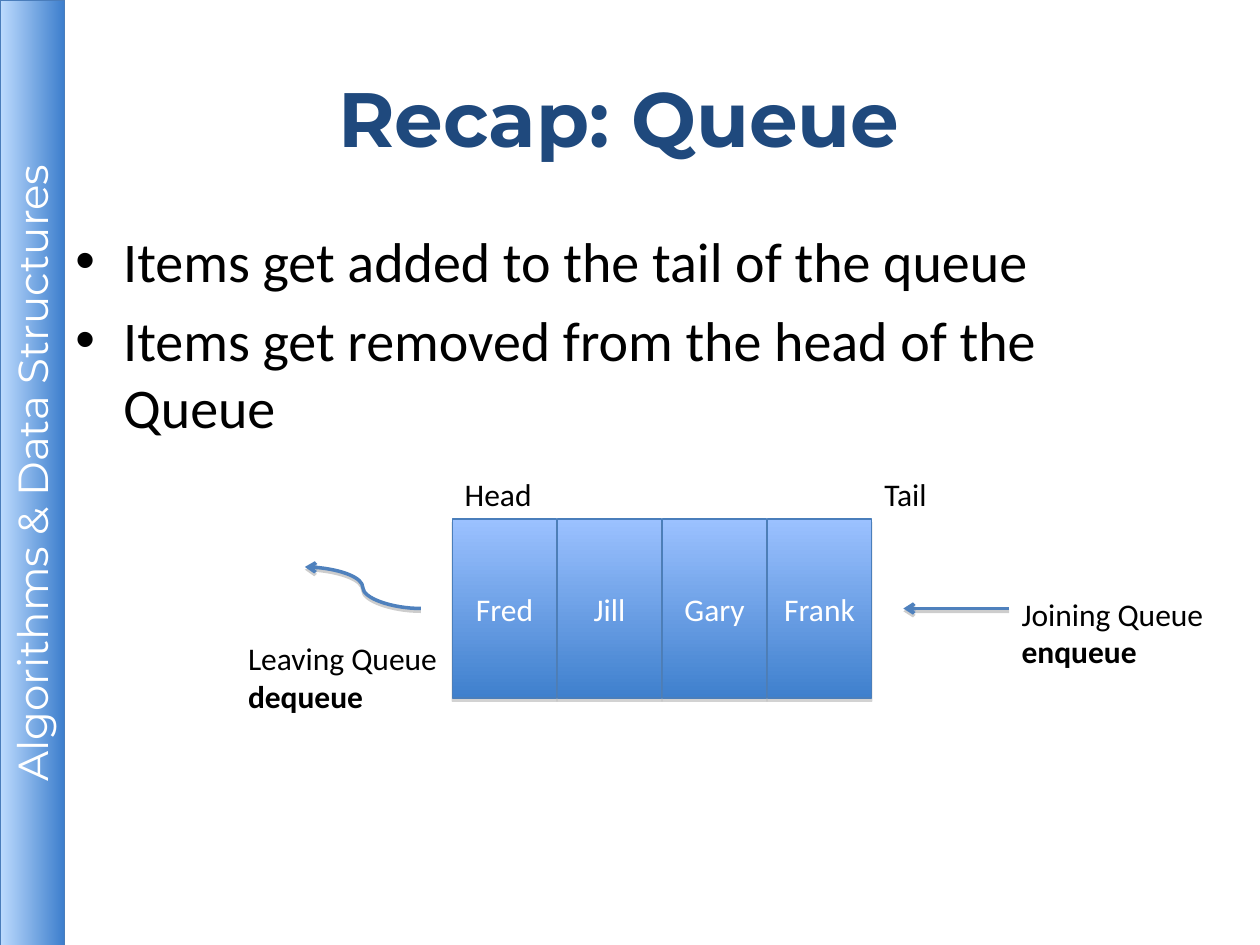
import pptx
import pptx.util
import pptx.dml.color
import pptx.enum.shapes
import pptx.enum.text
import pptx.oxml
import pptx.oxml.ns
from pptx.util import Inches

RGBColor = pptx.dml.color.RGBColor
WHITE = RGBColor(0xFF, 0xFF, 0xFF)
BLACK = RGBColor(0, 0, 0)
NAVY = RGBColor(0x1F, 0x49, 0x7D)
BAR_LIGHT = RGBColor(0xBD, 0xDB, 0xFE)
BAR_DARK = RGBColor(0x3E, 0x7F, 0xCD)
BAR_EDGE = RGBColor(0x4A, 0x7D, 0xBB)
BAR_SHADOW = RGBColor(0xEE, 0xEC, 0xE1)
CELL_LIGHT = RGBColor(0x9B, 0xC1, 0xFF)
CELL_DARK = RGBColor(0x3F, 0x80, 0xCD)
CELL_EDGE = RGBColor(0x4A, 0x7E, 0xBB)
ARROW_BLUE = RGBColor(0x4F, 0x81, 0xBD)
GREY = RGBColor(0x80, 0x80, 0x80)

RECTANGLE = pptx.enum.shapes.MSO_SHAPE.RECTANGLE
CURVE = pptx.enum.shapes.MSO_CONNECTOR.CURVE
LEFT = pptx.enum.text.PP_ALIGN.LEFT
CENTER = pptx.enum.text.PP_ALIGN.CENTER
MIDDLE = pptx.enum.text.MSO_ANCHOR.MIDDLE
TOP = pptx.enum.text.MSO_ANCHOR.TOP
NS = pptx.oxml.ns.nsdecls("a")


def write(frame, text, size=18, font="Calibri", color=BLACK, bold_lines=(),
          align=LEFT, anchor=TOP, wrap=True, bullet=False, space_before=0):
    frame.word_wrap = wrap
    frame.vertical_anchor = anchor
    for i, line in enumerate(text.split("\n")):
        paragraph = frame.paragraphs[0] if i == 0 else frame.add_paragraph()
        paragraph.alignment = align
        if i and space_before:
            paragraph.space_before = pptx.util.Pt(space_before)
        if bullet:
            properties = paragraph._p.get_or_add_pPr()
            properties.set("marL", str(Inches(0.38)))
            properties.set("indent", str(Inches(-0.38)))
            properties.append(pptx.oxml.parse_xml(f'<a:buFont {NS} typeface="Arial"/>'))
            properties.append(pptx.oxml.parse_xml(f'<a:buChar {NS} char="•"/>'))
        run = paragraph.add_run()
        run.text = line
        run.font.size = pptx.util.Pt(size)
        run.font.name = font
        run.font.color.rgb = color
        run.font.bold = i in bold_lines


def add_shadow(properties, color, opacity, distance):
    for effects in properties.findall(pptx.oxml.ns.qn("a:effectLst")):
        properties.remove(effects)
    properties.append(pptx.oxml.parse_xml(
        f'<a:effectLst {NS}><a:outerShdw blurRad="0" dist="{pptx.util.Pt(distance)}" '
        f'dir="5400000" rotWithShape="0"><a:srgbClr val="{color}">'
        f'<a:alpha val="{opacity * 1000}"/></a:srgbClr></a:outerShdw></a:effectLst>'))


presentation = pptx.Presentation()
presentation.slide_width = Inches(10)
presentation.slide_height = Inches(7.5)
slide = presentation.slides.add_slide(presentation.slide_layouts[5])
shapes = slide.shapes

# Course bar on the left edge, then the cells of the queue
bar = shapes.add_shape(RECTANGLE, Inches(-3.5), Inches(3.5), Inches(7.51), Inches(0.51))
bar.rotation = 270
blocks = [(bar, "Algorithms & Data Structures", 24, "Montserrat",
           BAR_LIGHT, BAR_DARK, BAR_EDGE, BAR_SHADOW)]
queue_left, queue_top, cell_width, cell_height = 3.59, 4.12, 0.83, 1.42
cell_step = 0.8333
for i, person in enumerate(["Fred", "Jill", "Gary", "Frank"]):
    cell = shapes.add_shape(RECTANGLE, Inches(queue_left + i * cell_step), Inches(queue_top),
                            Inches(cell_width), Inches(cell_height))
    blocks.append((cell, person, 18, "Calibri", CELL_LIGHT, CELL_DARK, CELL_EDGE, GREY))

for block, label, size, font, light, dark, edge, shade in blocks:
    block.fill.gradient()
    block.fill.gradient_angle = 270
    for stop, color, position in zip(block.fill.gradient_stops, (light, dark), (0, 1)):
        stop.color.rgb = color
        stop.position = position
    block.line.color.rgb = edge
    block.line.width = pptx.util.Pt(0.75)
    block.shadow.inherit = False
    add_shadow(block._element.spPr, shade, 35, 1.8)
    frame = block.text_frame
    if block is bar:
        frame.margin_left = frame.margin_right = Inches(0.04)
        frame.margin_top = frame.margin_bottom = Inches(0.04)
    write(frame, label, size=size, font=font, color=WHITE, align=CENTER, anchor=MIDDLE)

# Title
title = shapes.title
title.left, title.top, title.width, title.height = (
    Inches(0.5), Inches(0.3), Inches(9), Inches(1.25))
write(title.text_frame, "Recap: Queue ", size=44, font="Montserrat", color=NAVY,
      bold_lines=(0,), align=CENTER, anchor=MIDDLE)

# Rules of the queue
rules = shapes.add_textbox(Inches(0.5), Inches(1.75), Inches(9), Inches(4.95))
write(rules.text_frame,
      "Items get added to the tail of the queue\nItems get removed from the head of the Queue",
      size=32, bullet=True, space_before=6.4)

# Arrows for leaving and joining
for x1, y1, x2, y2 in [(3.34, 4.83, 2.42, 4.5), (8.01, 4.83, 7.17, 4.83)]:
    arrow = shapes.add_connector(CURVE, Inches(x1), Inches(y1), Inches(x2), Inches(y2))
    arrow.line.color.rgb = ARROW_BLUE
    arrow.line.width = pptx.util.Pt(2)
    arrow.line._get_or_add_ln().append(pptx.oxml.parse_xml(f'<a:tailEnd {NS} type="arrow"/>'))
    add_shadow(arrow._element.spPr, GREY, 38, 1.6)

# Labels around the queue
for text, left, top, width, height in [
    ("Joining Queue\nenqueue", 8.01, 4.67, 1.66, 0.71),
    ("Leaving Queue\ndequeue", 1.87, 5.02, 1.72, 0.71),
    ("Head", 3.59, 3.72, 0.74, 0.4),
    ("Tail", 6.92, 3.72, 0.54, 0.4),
]:
    caption = shapes.add_textbox(Inches(left), Inches(top), Inches(width), Inches(height))
    write(caption.text_frame, text, bold_lines=(1,), wrap=False)

presentation.save("out.pptx")
